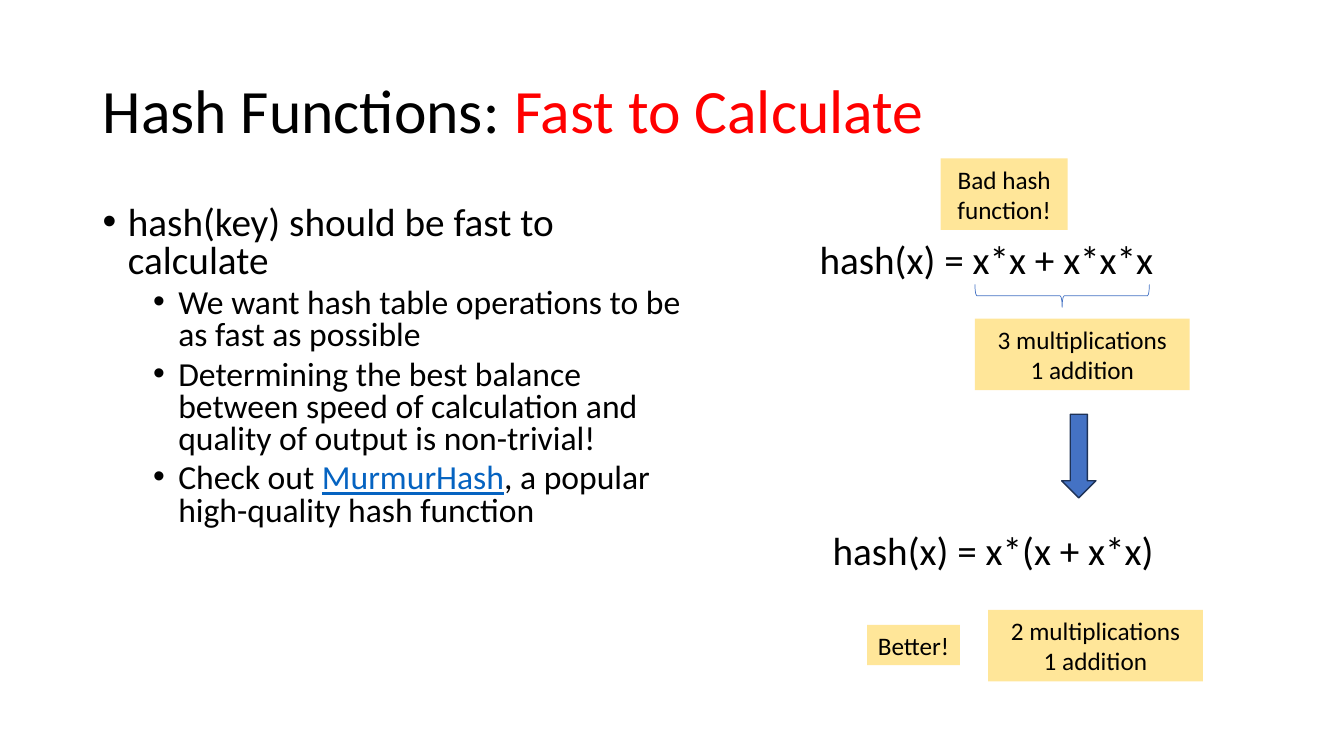
from pptx import Presentation
from pptx.dml.color import RGBColor
from pptx.enum.shapes import MSO_SHAPE
from pptx.enum.text import MSO_ANCHOR, PP_ALIGN
from pptx.oxml.ns import qn
from pptx.util import Inches, Pt
from lxml.etree import SubElement

COLORS = {
    "ink": "000000",
    "accent": "FF0000",
    "link": "0563C1",
    "label": "FFE699",
    "blue": "4472C4",
    "navy": "1E3256",
}


class SlideBuilder:
    font_name = "Calibri"

    def __init__(self, slide):
        self.slide = slide

    def color(self, name):
        return RGBColor.from_string(COLORS[name])

    def style(self, paragraph, size, color="ink"):
        paragraph.font.name = self.font_name
        paragraph.font.size = Pt(size)
        if color:
            paragraph.font.color.rgb = self.color(color)

    def runs(self, paragraph, parts):
        for words, color in parts:
            run = paragraph.add_run()
            run.text = words
            run.font.color.rgb = self.color(color)
            if color == "link":
                run.font.underline = True

    def text(self, left, top, width, height, wrap=True):
        box = self.slide.shapes.add_textbox(
            Inches(left), Inches(top), Inches(width), Inches(height))
        box.text_frame.word_wrap = wrap
        return box.text_frame

    def title(self, parts, *place):
        frame = self.text(*place)
        frame.vertical_anchor = MSO_ANCHOR.MIDDLE
        heading = frame.paragraphs[0]
        heading.line_spacing = 0.9
        self.style(heading, 44, None)
        self.runs(heading, parts)

    def bullets(self, items, *place):
        frame = self.text(*place)
        for index, (level, parts) in enumerate(items):
            item = frame.add_paragraph() if index else frame.paragraphs[0]
            item.level = level
            item.line_spacing = 0.8
            item.space_before = Pt(5 if level else 10)
            self.style(item, 24 if level else 28, None)
            self.runs(item, parts)
            properties = item._p.get_or_add_pPr()
            properties.set("marL", str(Inches(0.25 + 0.5 * level)))
            properties.set("indent", str(Inches(-0.25)))
            bullet_font = SubElement(properties, qn("a:buFont"))
            bullet_font.set("typeface", "Arial")
            bullet = SubElement(properties, qn("a:buChar"))
            bullet.set("char", "•")
            properties.append(properties.find(qn("a:defRPr")))

    def formula(self, words, *place):
        expression = self.text(*place, wrap=False).paragraphs[0]
        expression.text = words
        self.style(expression, 28)

    def shape(self, preset, left, top, width, height,
              fill=None, line=None, line_width=1, rotation=0):
        shape = self.slide.shapes.add_shape(
            preset, Inches(left), Inches(top), Inches(width), Inches(height))
        shape.shadow.inherit = False
        shape.rotation = rotation
        if fill:
            shape.fill.solid()
            shape.fill.fore_color.rgb = self.color(fill)
        else:
            shape.fill.background()
        if line:
            shape.line.color.rgb = self.color(line)
            shape.line.width = Pt(line_width)
        else:
            shape.line.fill.background()
        return shape

    def label(self, words, *place):
        frame = self.shape(MSO_SHAPE.RECTANGLE, *place, fill="label").text_frame
        frame.word_wrap = True
        frame.text = words
        for line in frame.paragraphs:
            line.alignment = PP_ALIGN.CENTER
            self.style(line, 18)


presentation = Presentation()
presentation.slide_width = Inches(13.33)
presentation.slide_height = Inches(7.5)
builder = SlideBuilder(presentation.slides.add_slide(presentation.slide_layouts[6]))

builder.title([("Hash Functions: ", "ink"), ("Fast to Calculate", "accent")],
              0.92, 0.4, 11.5, 1.45)
builder.bullets([
    (0, [("hash(key) should be fast to calculate", "ink")]),
    (1, [("We want hash table operations to be as fast as possible", "ink")]),
    (1, [("Determining the best balance between speed of calculation "
          "and quality of output is non-trivial!", "ink")]),
    (1, [("Check out ", "ink"), ("MurmurHash", "link"),
         (", a popular high-quality hash function", "ink")]),
], 0.92, 2, 6.09, 4.76)

builder.formula("hash(x) = x*x + x*x*x", 8.03, 2.29, 3.56, 0.57)
builder.label("Bad hash function!", 9.33, 1.57, 1.26, 0.71)
builder.shape(MSO_SHAPE.LEFT_BRACE, 10.42, 2.07, 0.23, 1.73,
              line="blue", line_width=0.5, rotation=270)
builder.label("3 multiplications\n1 addition", 9.67, 3.16, 2.13, 0.71)
builder.shape(MSO_SHAPE.DOWN_ARROW, 10.53, 4.11, 0.34, 0.83, fill="blue", line="navy")
builder.formula("hash(x) = x*(x + x*x)", 8.16, 5.17, 3.43, 0.57)
builder.label("2 multiplications\n1 addition", 9.8, 6.05, 2.13, 0.71)
builder.label("Better!", 8.6, 6.2, 0.92, 0.4)

presentation.save("out.pptx")
